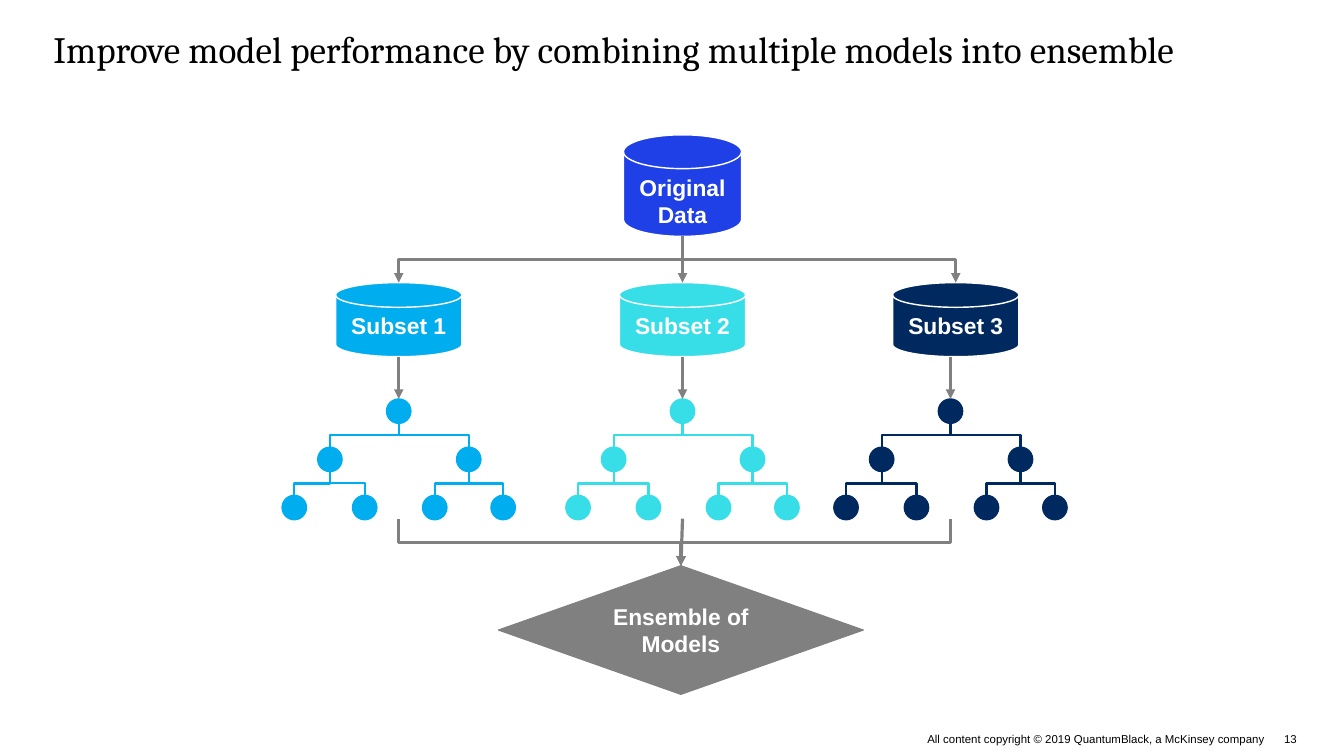
from pptx import Presentation
from pptx.dml.color import RGBColor
from pptx.enum import shapes, text
from pptx.oxml import ns
from pptx.util import Cm, Pt
from lxml import etree

BLACK = RGBColor(0x00, 0x00, 0x00)
WHITE = RGBColor(0xFF, 0xFF, 0xFF)
GREY = RGBColor(0x80, 0x80, 0x80)
ROYAL = RGBColor(0x1F, 0x40, 0xE6)
SKY = RGBColor(0x00, 0xAD, 0xEF)
CYAN = RGBColor(0x37, 0xDE, 0xE7)
NAVY = RGBColor(0x00, 0x29, 0x60)

# Content: lengths in cm
TITLE = "Improve model performance by combining multiple models into ensemble"
COPYRIGHT = "All content copyright © 2019 QuantumBlack, a McKinsey company"
PAGE = "13"
SOURCE = "Original Data"
RESULT = "Ensemble of Models"
SUBSETS = [  # label, colour, disk centre, tree centre
    ("Subset 1", SKY, 9.85, 9.85),
    ("Subset 2", CYAN, 16.86, 16.86),
    ("Subset 3", NAVY, 23.61, 23.48),
]
TREE_LEVELS = [(0,), (-1.7, 1.73), (-2.58, -0.84, 0.89, 2.58)]

# Layout
SOURCE_X, SOURCE_Y, SOURCE_W, SOURCE_H = 16.86, 3.33, 2.92, 2.51
SUBSET_Y, SUBSET_W, SUBSET_H = 6.98, 3.12, 1.83
TREE_Y, LEVEL_STEP, NODE = 9.85, 1.19, 0.61
RESULT_X, RESULT_Y, RESULT_W, RESULT_H = 16.82, 13.97, 9.02, 3.18
MERGE_Y = 12.81

LABEL = dict(name="Arial", size=Pt(16), bold=True)
HEADING = dict(name="Cambria", size=Pt(26))
SMALL = dict(name="Arial", size=Pt(8))

AUTO = shapes.MSO_SHAPE
LINE = shapes.MSO_CONNECTOR
MIDDLE = text.MSO_ANCHOR.MIDDLE


def write(tf, words, color, font, align):
    p = tf.paragraphs[0]
    p.alignment = align
    r = p.add_run()
    r.text = words
    for key, value in font.items():
        setattr(r.font, key, value)
    r.font.color.rgb = color


def add_text(x, y, w, h, words, font, align=text.PP_ALIGN.LEFT,
             anchor=MIDDLE):
    tf = s.shapes.add_textbox(Cm(x), Cm(y), Cm(w), Cm(h)).text_frame
    frame = dict(margin_left=0, margin_right=0, margin_top=0, margin_bottom=0,
                 word_wrap=True, vertical_anchor=anchor)
    for key, value in frame.items():
        setattr(tf, key, value)
    write(tf, words, BLACK, font, align)


def add_block(parent, kind, cx, y, w, h, fill, line, width, words="",
              anchor=MIDDLE):
    """Filled shape centred on cx."""
    sp = parent.add_shape(kind, Cm(cx - w / 2), Cm(y), Cm(w), Cm(h))
    sp.shadow.inherit = False
    sp.fill.solid()
    sp.fill.fore_color.rgb = fill
    sp.line.color.rgb = line
    sp.line.width = Pt(width)
    if words:
        sp.text_frame.vertical_anchor = anchor
        write(sp.text_frame, words, WHITE, LABEL, text.PP_ALIGN.CENTER)


def add_link(parent, x1, y1, x2, y2, color, width, arrow=False):
    """Straight line, or an elbow that leaves and arrives vertically."""
    dx, dy = x2 - x1, y2 - y1
    if abs(dx) < 0.1:
        c = parent.add_connector(LINE.STRAIGHT, Cm(x1), Cm(y1), Cm(x2), Cm(y2))
    else:
        # An elbow starts horizontally, so draw it turned about its centre
        cx, cy = (x1 + x2) / 2, (y1 + y2) / 2
        half_w = dy / 2 if dx < 0 else -dy / 2
        half_h = abs(dx) / 2
        c = parent.add_connector(LINE.ELBOW, Cm(cx - half_w), Cm(cy - half_h),
                                 Cm(cx + half_w), Cm(cy + half_h))
        c.rotation = 90 if dx < 0 else 270
    c.line.color.rgb = color
    c.line.width = Pt(width)
    if arrow:
        etree.SubElement(c.line._get_or_add_ln(), ns.qn("a:tailEnd"),
                         type="triangle")
    etree.SubElement(c._element.spPr, ns.qn("a:effectLst"))


def add_tree(cx, color):
    tree = s.shapes.add_group_shape().shapes
    for level, offsets in enumerate(TREE_LEVELS):
        y = TREE_Y + level * LEVEL_STEP
        for i, dx in enumerate(offsets):
            add_block(tree, AUTO.OVAL, cx + dx, y, NODE, NODE,
                      color, color, 0.75)
            if level:
                parent_x = cx + TREE_LEVELS[level - 1][i // 2]
                add_link(tree, parent_x, y - LEVEL_STEP + NODE, cx + dx, y,
                         color, 1.5)


prs = Presentation()
prs.slide_width, prs.slide_height = Cm(33.2), Cm(18.67)
s = prs.slides.add_slide(prs.slide_layouts[6])

# Title and footer
add_text(1.32, 0.64, 30.68, 1.12, TITLE, HEADING, anchor=text.MSO_ANCHOR.TOP)
add_text(22.83, 18.08, 8.42, 0.33, COPYRIGHT, SMALL, text.PP_ALIGN.RIGHT)
add_text(31.72, 18.08, 0.5, 0.33, PAGE, SMALL)

# Source data and final ensemble
add_block(s.shapes, AUTO.FLOWCHART_MAGNETIC_DISK, SOURCE_X, SOURCE_Y, SOURCE_W,
          SOURCE_H, ROYAL, WHITE, 1, SOURCE, text.MSO_ANCHOR.TOP)
add_block(s.shapes, AUTO.FLOWCHART_DECISION, RESULT_X, RESULT_Y, RESULT_W,
          RESULT_H, GREY, GREY, 0.75, RESULT)

# One branch per subset: disk, tree and the arrows between them
for label, color, disk_x, tree_x in SUBSETS:
    add_block(s.shapes, AUTO.FLOWCHART_MAGNETIC_DISK, disk_x, SUBSET_Y,
              SUBSET_W, SUBSET_H, color, WHITE, 1, label)
    add_tree(tree_x, color)
    for link in [
        (SOURCE_X, SOURCE_Y + SOURCE_H, disk_x, SUBSET_Y),
        (tree_x, SUBSET_Y + SUBSET_H, tree_x, TREE_Y),
        (tree_x, MERGE_Y, RESULT_X, RESULT_Y),
    ]:
        add_link(s.shapes, *link, GREY, 2.25, arrow=True)

prs.save("out.pptx")
